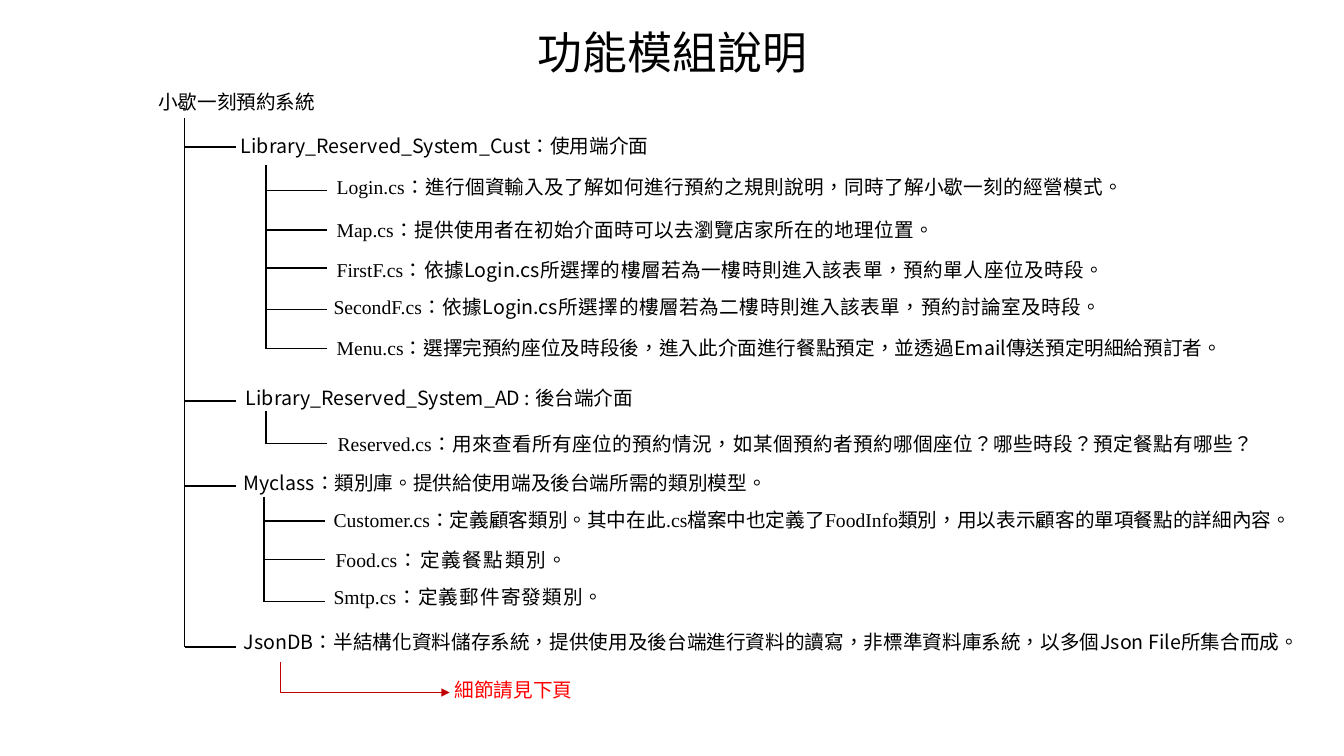
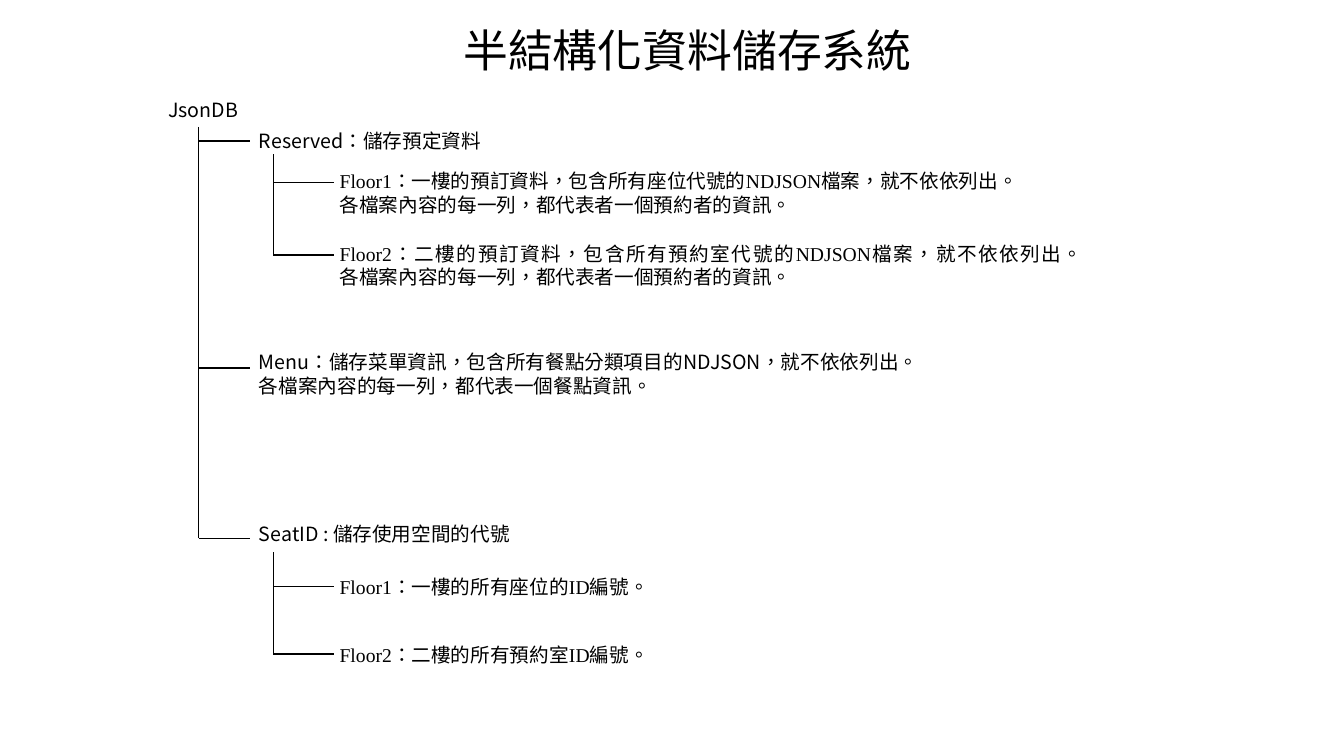
from dataclasses import dataclass

from lxml import etree
from pptx import Presentation
from pptx.dml.color import RGBColor
from pptx.enum.lang import MSO_LANGUAGE_ID
from pptx.enum.shapes import MSO_CONNECTOR
from pptx.enum.text import MSO_ANCHOR, MSO_AUTO_SIZE, PP_ALIGN
from pptx.oxml.ns import qn
from pptx.util import Inches, Pt

STRAIGHT, ELBOW = MSO_CONNECTOR.STRAIGHT, MSO_CONNECTOR.ELBOW
LEFT, CENTER, JUSTIFY = PP_ALIGN.LEFT, PP_ALIGN.CENTER, PP_ALIGN.JUSTIFY
MIDDLE, FIXED = MSO_ANCHOR.MIDDLE, MSO_AUTO_SIZE.NONE
CHINESE = MSO_LANGUAGE_ID.TRADITIONAL_CHINESE


@dataclass(frozen=True)
class Theme:
    sans: str = "Noto Sans CJK SC"
    serif: str = "Times New Roman"
    ink: str = "000000"
    line: str = "C00000"
    note: str = "FF0000"
    head: int = 32
    body: int = 14
    rule: float = 1
    row: float = 0.28     # height of a one-line label
    twig: float = 0.51    # tick from trunk to branch
    leaf: float = 0.6     # tick from spine to leaf


T = Theme()

# Boxes are (left, top, width[, height]); "tick" is the height of the joining line.
# A leaf is (tick, box, serif text, sans text); a list of texts makes paragraphs.
MODULES = {
    "title": "功能模組說明",
    "head": (0.92, 0.24, 11.5, 0.62),
    "root": ("小歇一刻預約系統", (1.47, 0.87, 1.91)),
    "trunk": (1.83, 1.17),
    "parts": [
        {"tick": 1.46, "box": (2.29, 1.31, 4.25),
         "text": ["Library_Reserved_System_Cust：使用端介面"],
         "spine": (2.64, 1.64),
         "leaves": [
             (1.89, (3.24, 1.71, 7.81), ["Login.cs："],
              "進行個資輸入及了解如何進行預約之規則說明，同時了解小歇一刻的經營模式。"),
             (2.28, (3.24, 2.14, 5.93), ["Map.cs："],
              "提供使用者在初始介面時可以去瀏覽店家所在的地理位置。"),
             (2.66, (3.24, 2.54, 7.62), ["FirstF.cs："],
              "依據Login.cs所選擇的樓層若為一樓時則進入該表單，預約單人座位及時段。"),
             (3.07, (3.21, 2.9, 7.62), ["SecondF.cs："],
              "依據Login.cs所選擇的樓層若為二樓時則進入該表單，預約討論室及時段。"),
             (3.46, (3.24, 3.31, 8.99), ["Menu.cs："],
              "選擇完預約座位及時段後，進入此介面進行餐點預定，並透過Email傳送預定明細給預訂者。"),
         ]},
        {"tick": 3.98, "box": (2.34, 3.81, 4.09),
         "text": ["Library_Reserved_System_AD : 後台端介面"],
         "spine": (2.64, 4.08),
         "leaves": [
             (4.4, (3.25, 4.26, 9.09), ["Reserved.cs："],
              "用來查看所有座位的預約情況，如某個預約者預約哪個座位？哪些時段？預定餐點有哪些？"),
         ]},
        {"tick": 4.82, "box": (2.32, 4.65, 5.37),
         "text": ["Myclass：類別庫。提供給使用端及後台端所需的類別模型。"],
         "spine": (2.62, 4.93),
         "leaves": [
             (5.17, (3.21, 5.02, 9.82),
              ["Customer.cs：定義顧客類別。其中在此.cs檔案中也定義了FoodInfo類別，"
               "用以表示顧客的單項餐點的詳細內容。"], ""),
             (5.55, (3.23, 5.41, 2.3), ["Food.cs："], "定義餐點類別。"),
             (5.97, (3.21, 5.78, 2.68), ["Smtp.cs：定義郵件寄發類別。"], ""),
         ]},
        {"tick": 6.42, "box": (2.32, 6.23, 10.62),
         "text": ["JsonDB：半結構化資料儲存系統，提供使用及後台端進行資料的讀寫，"
                  "非標準資料庫系統，以多個Json File所集合而成。"]},
    ],
}

STORE = {
    "title": "半結構化資料儲存系統",
    "head": (1.07, 0.22, 11.5, 0.62),
    "root": ("JsonDB", (1.57, 0.95, 6.67)),
    "trunk": (1.97, 1.26),
    "parts": [
        {"tick": 1.4, "box": (2.47, 1.26, 4.25),
         "text": ["Reserved：儲存預定資料"],
         "spine": (2.71, 1.53),
         "leaves": [
             (1.81, (3.27, 1.6, 7.81, 0.62),
              ["Floor1：一樓的預訂資料，包含所有座位代號的NDJSON檔案，就不依依列出。",
               "各檔案內容的每一列，都代表者一個預約者的資訊。"], ""),
             (2.53, (3.27, 2.32, 7.58, 0.62),
              ["Floor2：二樓的預訂資料，包含所有預約室代號的NDJSON檔案，就不依依列出。\v"
               "各檔案內容的每一列，都代表者一個預約者的資訊。"], ""),
         ]},
        {"tick": 3.65, "box": (2.47, 3.43, 8.38, 0.55),
         "text": ["Menu：儲存菜單資訊，包含所有餐點分類項目的NDJSON，就不依依列出。",
                  "各檔案內容的每一列，都代表一個餐點資訊。"]},
        {"tick": 5.34, "box": (2.47, 5.15, 4.25),
         "text": ["SeatID : 儲存使用空間的代號"],
         "spine": (2.71, 5.48),
         "leaves": [
             (5.82, (3.27, 5.64, 3.33, 0.36), ["Floor1：一樓的所有座位的ID編號。"], ""),
             (6.49, (3.27, 6.32, 3.33, 0.34), ["Floor2：二樓的所有預約室ID編號。"], ""),
         ]},
    ],
}

NOTE = ("細節請見下頁", (4.41, 6.7, 2.68))
ARROW = ((2.79, 6.57), (4.46, 6.87))


def style(run, font, size, color):
    run.font.size = Pt(size)
    run.font.color.rgb = RGBColor.from_string(color)
    run.font.name = font
    run.font.language_id = CHINESE
    props = run._r.get_or_add_rPr()
    etree.SubElement(props, qn("a:ea"), typeface=T.sans)


def write(frame, texts, tail="", font=T.sans, size=T.body, color=T.ink,
          align=LEFT, space=None):
    """Fill a frame; tail follows the last paragraph in the sans font."""
    frame.word_wrap = True
    frame.auto_size = FIXED
    frame.vertical_anchor = MIDDLE
    for i, text in enumerate(texts):
        para = frame.add_paragraph() if i else frame.paragraphs[0]
        para.alignment = align
        para.line_spacing = space
        for j, part in enumerate(text.split("\v")):
            if j:
                para.add_line_break()
                etree.SubElement(para._p[-1], qn("a:rPr"), sz=str(size * 100))
            run = para.add_run()
            run.text = part
            style(run, font, size, color)
    if tail:
        run = para.add_run()
        run.text = tail
        style(run, T.sans, size, color)


def label(slide, box, texts, **form):
    x, y, w, h = (*box, T.row)[:4]
    shape = slide.shapes.add_textbox(Inches(x), Inches(y), Inches(w), Inches(h))
    write(shape.text_frame, texts, **form)


def rule(slide, start, end, kind=STRAIGHT, color=T.ink):
    ends = [Inches(v) for v in (*start, *end)]
    line = slide.shapes.add_connector(kind, *ends)
    line.line.color.rgb = RGBColor.from_string(color)
    line.line.width = Pt(T.rule)
    etree.SubElement(line._element.spPr, qn("a:effectLst"))
    return line


def comb(slide, x, top, ticks, reach):
    """Draw a vertical line with a tick to the right at each height."""
    rule(slide, (x, top), (x, ticks[-1]))
    for y in ticks:
        rule(slide, (x, y), (x + reach, y))


def tree(deck, data):
    slide = deck.slides.add_slide(deck.slide_layouts[5])

    # Title
    title = slide.shapes.title
    title.left, title.top, title.width, title.height = map(Inches, data["head"])
    write(title.text_frame, [data["title"]], size=T.head, align=CENTER, space=0.9)

    # Root and trunk
    name, box = data["root"]
    label(slide, box, [name])
    comb(slide, *data["trunk"], [part["tick"] for part in data["parts"]], T.twig)

    # Branches and leaves
    for part in data["parts"]:
        label(slide, part["box"], part["text"])
        leaves = part.get("leaves")
        if leaves:
            comb(slide, *part["spine"], [leaf[0] for leaf in leaves], T.leaf)
            for _, box, texts, tail in leaves:
                label(slide, box, texts, tail=tail, font=T.serif, align=JUSTIFY)
    return slide


def pointer(slide):
    """Draw the red arrow, down then right, and its note."""
    arrow = rule(slide, *ARROW, kind=ELBOW, color=T.line)
    props = arrow._element.spPr
    bends = props.find(qn("a:prstGeom")).find(qn("a:avLst"))
    etree.SubElement(bends, qn("a:gd"), name="adj1", fmla="val -600")
    etree.SubElement(props.find(qn("a:ln")), qn("a:tailEnd"), type="triangle")
    text, box = NOTE
    label(slide, box, [text], font=T.serif, color=T.note, align=JUSTIFY)


def main():
    deck = Presentation()
    deck.slide_width, deck.slide_height = Inches(13.33), Inches(7.5)
    pointer(tree(deck, MODULES))
    tree(deck, STORE)
    deck.save("out.pptx")


if __name__ == "__main__":
    main()
